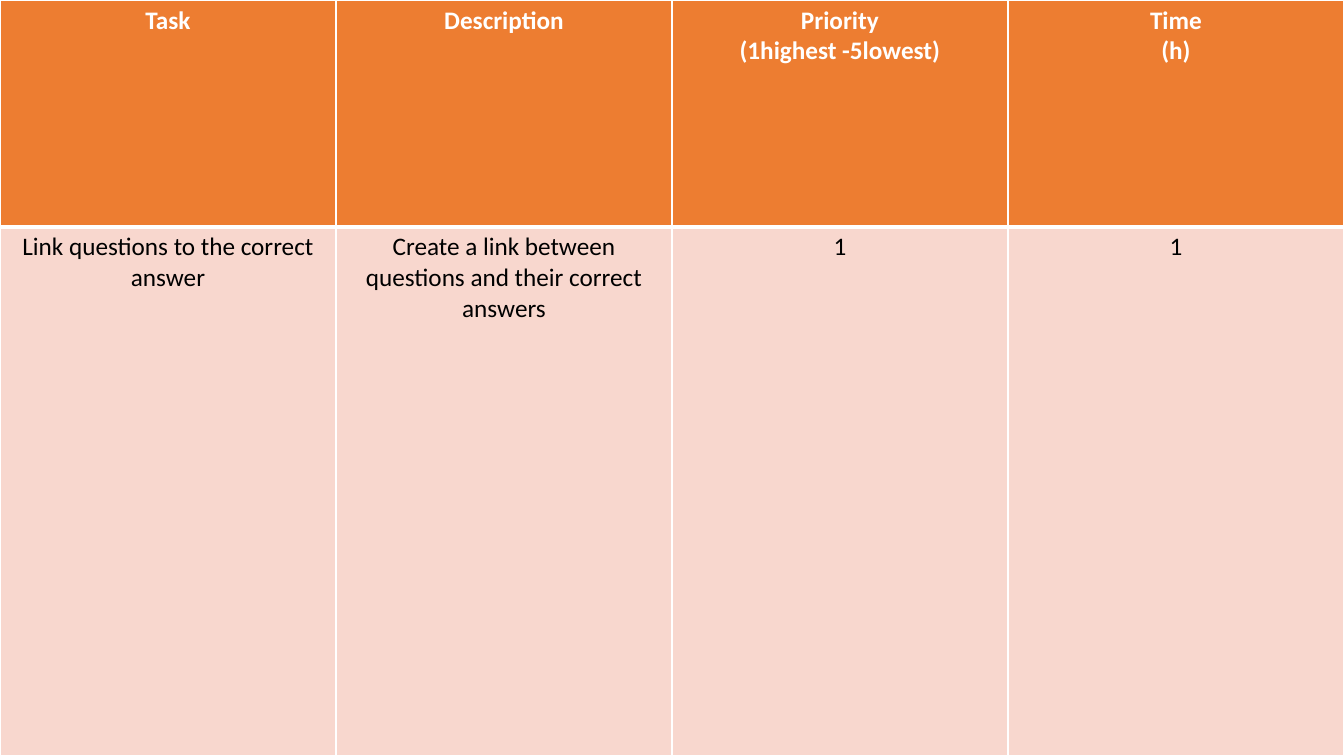
from dataclasses import dataclass

from lxml import etree
from pptx import Presentation
from pptx.dml.color import RGBColor
from pptx.enum.text import MSO_ANCHOR, PP_ALIGN
from pptx.util import Inches, Pt

CENTER = PP_ALIGN.CENTER
TOP = MSO_ANCHOR.TOP
DRAWING = "http://schemas.openxmlformats.org/drawingml/2006/main"


@dataclass(frozen=True)
class Theme:
    font: str = "Calibri"
    size: int = 18
    header_fill: str = "ED7D31"
    header_text: str = "FFFFFF"
    body_fill: str = "F8D7CE"
    body_text: str = "000000"
    rule: str = "FFFFFF"
    thin: int = 1
    thick: int = 3


class Page:
    """Holds the theme and the current slide; lengths are shares of its size."""

    def __init__(self, deck, theme):
        self.theme = theme
        self.width, self.height = deck.slide_width, deck.slide_height
        self.slide = deck.slides.add_slide(deck.slide_layouts[6])

    def table(self, rows, row_shares):
        columns = len(rows[0])
        frame = self.slide.shapes.add_table(
            len(rows), columns, 0, 0, self.width, self.height)
        table = frame.table
        for column in table.columns:
            column.width = self.width // columns
        for row, share in zip(table.rows, row_shares):
            row.height = int(self.height * share)
        for row_number, texts in enumerate(rows):
            for column_number, lines in enumerate(texts):
                self.cell(table.cell(row_number, column_number), lines, row_number)

    def cell(self, cell, lines, row_number):
        theme = self.theme
        header = row_number == 0
        cell.fill.solid()
        cell.fill.fore_color.rgb = RGBColor.from_string(
            theme.header_fill if header else theme.body_fill)
        cell.vertical_anchor = TOP
        frame = cell.text_frame
        for number, line in enumerate(lines):
            para = frame.add_paragraph() if number else frame.paragraphs[0]
            para.alignment = CENTER
            span = para.add_run()
            span.text = line
            span.font.name = theme.font
            span.font.size = Pt(theme.size)
            span.font.bold = header
            span.font.color.rgb = RGBColor.from_string(
                theme.header_text if header else theme.body_text)
        # The thick rule lies between the header and the body
        top = theme.thick if row_number == 1 else theme.thin
        bottom = theme.thick if header else theme.thin
        self.borders(cell, {"L": theme.thin, "R": theme.thin, "T": top, "B": bottom})

    def borders(self, cell, widths):
        properties = cell._tc.get_or_add_tcPr()
        for place, (side, width) in enumerate(widths.items()):
            line = etree.Element(f"{{{DRAWING}}}ln{side}", w=str(Pt(width)))
            fill = etree.SubElement(line, f"{{{DRAWING}}}solidFill")
            etree.SubElement(fill, f"{{{DRAWING}}}srgbClr", val=self.theme.rule)
            properties.insert(place, line)


deck = Presentation()
deck.slide_width, deck.slide_height = Inches(13.33), Inches(7.5)
page = Page(deck, Theme())

# Task table: each cell is a list of paragraphs
header = [["Task"], ["Description"], ["Priority", "(1highest -5lowest)"], ["Time", "(h)"]]
link_task = [
    ["Link questions to the correct answer"],
    ["Create a link between questions and their correct answers"],
    ["1"],
    ["1"],
]
header_share = 0.3
page.table([header, link_task], [header_share, 1 - header_share])

deck.save("out.pptx")
